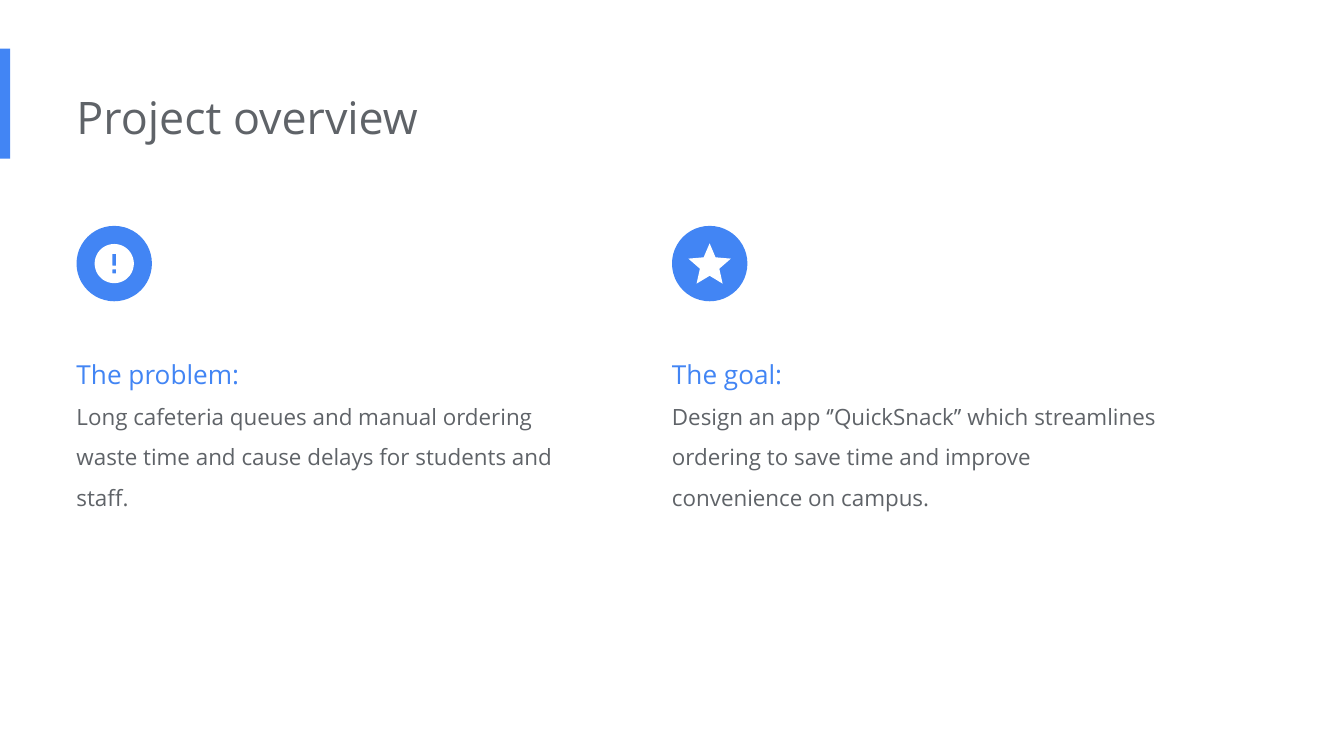
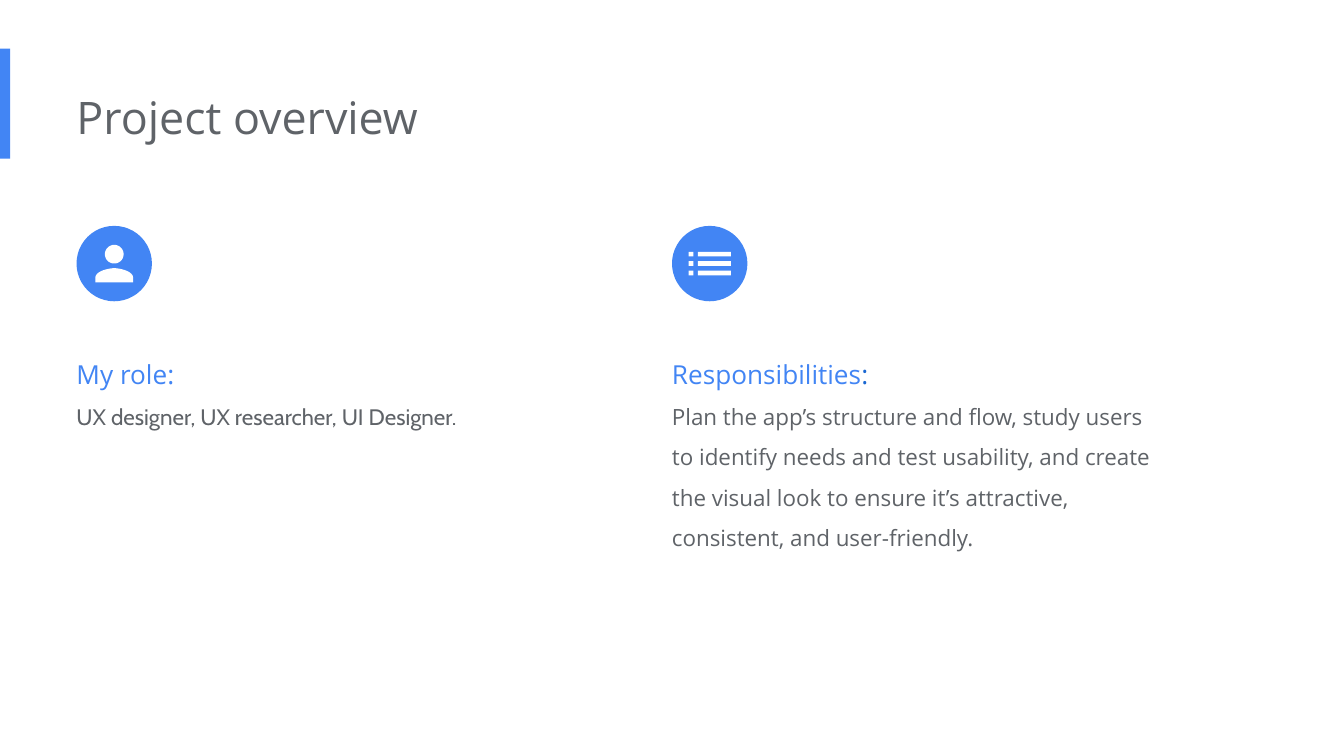
import math

import pptx
import pptx.dml.color
import pptx.enum.shapes
import pptx.enum.text
import pptx.util

BLUE, DEEP_BLUE, GREY, WHITE = "4285F4", "1967D2", "5F6368", "FFFFFF"
COLUMN_LEFTS = (41, 360)
DISC_TOP, DISC_SIZE = 121, 40.4
TITLE_FORMAT = {"name": "Open Sans", "size": pptx.util.Pt(24)}
HEADING_FORMAT = {"name": "Open Sans", "size": pptx.util.Pt(14)}
BODY_FORMAT = {"name": "Open Sans", "size": pptx.util.Pt(12)}
ROLE_FORMAT = {**BODY_FORMAT, "name": "Cabin"}


def colour(value):
    return pptx.dml.color.RGBColor.from_string(value)


def paint(shape, fill):
    shape.shadow.inherit = False
    shape.fill.solid()
    shape.fill.fore_color.rgb = colour(fill)
    shape.line.fill.background()


def add_preset(page, kind, left, top, width, height):
    area = [pptx.util.Pt(length) for length in (left, top, width, height)]
    paint(page.shapes.add_shape(kind, *area), BLUE)


def add_text(page, left, top, width, height, paragraphs, line_spacing):
    area = [pptx.util.Pt(length) for length in (left, top, width, height)]
    frame = page.shapes.add_textbox(*area).text_frame
    settings = {
        "word_wrap": True,
        "auto_size": pptx.enum.text.MSO_AUTO_SIZE.SHAPE_TO_FIT_TEXT,
        "margin_left": 0,
        "margin_top": pptx.util.Pt(7.2),
        "margin_right": pptx.util.Pt(7.2),
        "margin_bottom": pptx.util.Pt(7.2),
    }
    for name, value in settings.items():
        setattr(frame, name, value)
    for index, spans in enumerate(paragraphs):
        para = frame.add_paragraph() if index else frame.paragraphs[0]
        para.line_spacing = line_spacing
        for text, text_format, text_colour in spans:
            span = para.add_run()
            span.text = text
            for name, value in text_format.items():
                setattr(span.font, name, value)
            span.font.color.rgb = colour(text_colour)


def rectangle(left, top, right, bottom):
    return [(left, top), (right, top), (right, bottom), (left, bottom)]


def circle(radius, center_y=0, steps=60):
    angles = [2 * math.pi * step / steps for step in range(steps)]
    return [(radius * math.cos(a), center_y + radius * math.sin(a)) for a in angles]


def curve(start, first, second, end, steps=16):
    weights = [((1 - t) ** 3, 3 * t * (1 - t) ** 2, 3 * t * t * (1 - t), t ** 3)
               for t in (step / steps for step in range(steps + 1))]
    return [tuple(sum(w * point[axis] for w, point in zip(weight, (start, first, second, end)))
                  for axis in (0, 1)) for weight in weights]


def alert_outlines():
    return [circle(10.5), rectangle(-1.05, -5.25, 1.05, 1.05),
            rectangle(-1.05, 3.15, 1.05, 5.25)]


def star_outlines():
    right = [(0, -10.8), (3.2, -3.3), (11.4, -2.6), (5.2, 2.8), (7, 10.8), (0, 6.6)]
    left = [(-x, y) for x, y in reversed(right[1:-1])]
    return [right + left]


def person_outlines():
    shoulder = curve((0, 2.5), (3.4, 2.5), (10.1, 4.2), (10.1, 7.6))
    right = shoulder + [(10.1, 10.1)]
    return [circle(5, -5), right + [(-x, y) for x, y in reversed(right)]]


def list_outlines():
    tops = [-6.3 + 5.04 * row for row in range(3)]
    return [rectangle(left, top, right, top + 2.52)
            for top in tops for left, right in ((-11.3, -8.8), (-6.3, 11.3))]


def add_icon(page, left, outlines):
    add_preset(page, pptx.enum.shapes.MSO_SHAPE.OVAL, left, DISC_TOP, DISC_SIZE, DISC_SIZE)
    center_x, center_y = left + DISC_SIZE / 2, DISC_TOP + DISC_SIZE / 2
    builder = None
    for outline in outlines:
        points = [(pptx.util.Pt(center_x + x), pptx.util.Pt(center_y + y)) for x, y in outline]
        if builder is None:
            builder = page.shapes.build_freeform(*points[0], scale=1.0)
        else:
            builder.move_to(*points[0])
        builder.add_line_segments(points[1:], close=True)
    paint(builder.convert_to_shape(), WHITE)


def add_column(page, left, outlines, heading, body, height, body_format=BODY_FORMAT):
    add_icon(page, left, outlines)
    heading_spans = [(text, HEADING_FORMAT, shade) for text, shade in heading]
    add_text(page, left, 176.4, 271.4, height,
             [heading_spans, [(body, body_format, GREY)]], 1.5)


def add_overview_page(deck):
    page = deck.slides.add_slide(deck.slide_layouts[6])
    add_preset(page, pptx.enum.shapes.MSO_SHAPE.RECTANGLE, 0, 26, 5.5, 59)
    add_text(page, COLUMN_LEFTS[0], 41, 484.6, 44,
             [[("Project overview", TITLE_FORMAT, GREY)]], 1.0)
    return page


def main():
    deck = pptx.Presentation()
    deck.slide_width = pptx.util.Pt(720)
    deck.slide_height = pptx.util.Pt(405)
    first, second = COLUMN_LEFTS

    page = add_overview_page(deck)
    add_column(page, first, alert_outlines(), [("The problem:", BLUE)],
               "Long cafeteria queues and manual ordering waste time and cause "
               "delays for students and staff.", 105)
    add_column(page, second, star_outlines(), [("The goal:", BLUE)],
               "Design an app ‘’QuickSnack’’ which streamlines ordering to save "
               "time and improve convenience on campus.", 105)

    page = add_overview_page(deck)
    add_column(page, first, person_outlines(), [("My role:", BLUE)],
               "UX designer, UX researcher, UI Designer.", 62, ROLE_FORMAT)
    add_column(page, second, list_outlines(), [("Responsibilities", BLUE), (":", DEEP_BLUE)],
               "Plan the app’s structure and flow, study users to identify needs "
               "and test usability, and create the visual look to ensure it’s "
               "attractive, consistent, and user-friendly.", 127.4)

    deck.save("out.pptx")


if __name__ == "__main__":
    main()
